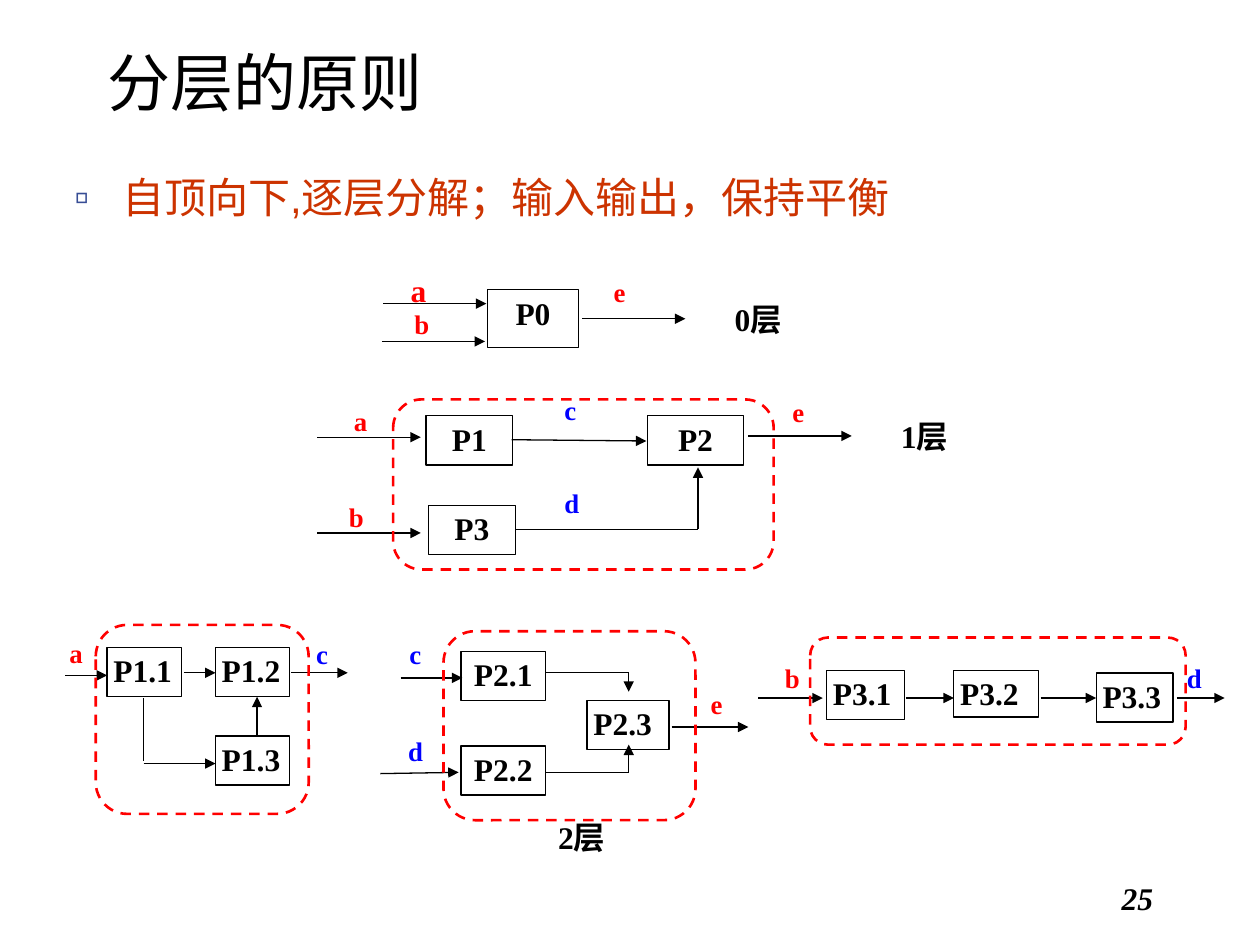
"""Build the slide on layering principles for data flow diagrams."""
from typing import NamedTuple

from lxml import etree
from pptx import Presentation
from pptx import util as u
from pptx.dml.color import RGBColor
from pptx.enum import dml, shapes, text
from pptx.oxml import ns

BLACK, WHITE, RED, BLUE = "000000", "FFFFFF", "FF0000", "0000FF"
SERIF = "Times New Roman"
LEFT, CENTER, RIGHT = text.PP_ALIGN.LEFT, text.PP_ALIGN.CENTER, text.PP_ALIGN.RIGHT


class Process(NamedTuple):
    name: str
    x: float
    y: float
    w: float
    h: float = 0.39
    align: text.PP_ALIGN = LEFT
    fill: str | None = WHITE


class Flow(NamedTuple):
    x1: float
    y1: float
    x2: float
    y2: float
    arrow: bool = True


class Label(NamedTuple):
    name: str
    x: float
    y: float
    color: str = RED
    w: float = 0.33
    h: float = 0.33
    size: float = 15.3
    spacing: float = 0.9


class Frame(NamedTuple):
    x: float
    y: float
    w: float
    h: float


FRAMES = [
    Frame(3.12, 3.17, 3.02, 1.35),
    Frame(0.76, 4.96, 1.69, 1.5),
    Frame(3.52, 5.01, 2, 1.5),
    Frame(6.43, 5.06, 2.98, 0.85),
]
PROCESSES = [
    Process("P0", 3.87, 2.3, 0.72, 0.46, CENTER, None),
    Process("P1", 3.38, 3.3, 0.69, align=CENTER),
    Process("P2", 5.14, 3.3, 0.76, align=CENTER),
    Process("P3", 3.4, 4.01, 0.69, align=CENTER),
    Process("P1.1", 0.85, 5.14, 0.59),
    Process("P1.2", 1.71, 5.14, 0.59),
    Process("P1.3", 1.71, 5.84, 0.59),
    Process("P2.1", 3.66, 5.17, 0.67, align=CENTER),
    Process("P2.2", 3.66, 5.92, 0.67, align=CENTER),
    Process("P2.3", 4.66, 5.56, 0.65),
    Process("P3.1", 6.56, 5.32, 0.62),
    Process("P3.2", 7.57, 5.32, 0.67, 0.37),
    Process("P3.3", 8.7, 5.34, 0.61),
]
FLOWS = [
    Flow(3.04, 2.41, 3.86, 2.41),
    Flow(3.03, 2.71, 3.85, 2.71),
    Flow(4.62, 2.53, 5.44, 2.53),
    Flow(2.52, 3.47, 3.34, 3.47),
    Flow(2.52, 4.23, 3.34, 4.23),
    Flow(4.06, 3.49, 5.13, 3.5),
    Flow(4.09, 4.2, 5.54, 4.2, False),
    Flow(5.54, 4.2, 5.54, 3.71),
    Flow(5.94, 3.46, 6.76, 3.46),
    Flow(0.52, 5.36, 0.85, 5.36),
    Flow(1.46, 5.34, 1.71, 5.34),
    Flow(2.31, 5.34, 2.76, 5.34),
    Flow(1.14, 5.54, 1.14, 6.04, False),
    Flow(1.14, 6.06, 1.71, 6.06),
    Flow(2.04, 5.84, 2.04, 5.53),
    Flow(3.18, 5.38, 3.67, 5.38),
    Flow(3.02, 6.14, 3.64, 6.13),
    Flow(4.33, 5.34, 4.99, 5.34, False),
    Flow(4.99, 5.34, 4.99, 5.49),
    Flow(4.33, 6.13, 4.99, 6.13, False),
    Flow(4.99, 6.13, 4.99, 5.91),
    Flow(5.33, 5.77, 5.94, 5.77),
    Flow(6.02, 5.54, 6.53, 5.54),
    Flow(7.19, 5.54, 7.57, 5.54),
    Flow(8.26, 5.54, 8.7, 5.54),
    Flow(9.34, 5.54, 9.72, 5.54),
]
LABELS = [
    Label("a", 3.2, 2.12, h=0.4, size=18, spacing=1),
    Label("b", 3.23, 2.44),
    Label("e", 4.81, 2.19),
    Label("a", 2.75, 3.21),
    Label("b", 2.71, 3.97),
    Label("c", 4.42, 3.12, BLUE),
    Label("d", 4.42, 3.86, BLUE),
    Label("e", 6.23, 3.14),
    Label("a", 0.49, 5.05),
    Label("c", 2.45, 5.06, BLUE),
    Label("c", 3.19, 5.06, BLUE),
    Label("d", 3.18, 5.83, BLUE),
    Label("e", 5.58, 5.46),
    Label("b", 6.17, 5.25),
    Label("d", 9.36, 5.25, BLUE),
    Label("0层", 5.77, 2.35, BLACK, 1.5, 0.42, 18, 1),
    Label("1层", 7.09, 3.28, BLACK, 1.22, 0.44, 18, 1),
    Label("2层", 4.37, 6.46, BLACK, 1.35, 0.4, 18, 1),
]


def rgb(value: str) -> RGBColor:
    return RGBColor.from_string(value)


def inches(*values: float) -> list[u.Length]:
    return [u.Inches(v) for v in values]


def write(sp, words: str, size: float, color: str, font=SERIF, align=LEFT, bold=True):
    tf = sp.text_frame
    tf.word_wrap = True
    p = tf.paragraphs[0]
    p.alignment = align
    r = p.add_run()
    r.text = words
    r.font.name, r.font.size, r.font.bold = font, u.Pt(size), bold
    r.font.color.rgb = rgb(color)
    return p, r


def set_margins(sp, side: float = 0.06) -> None:
    tf = sp.text_frame
    tf.margin_left = tf.margin_right = u.Inches(side)
    tf.margin_top = tf.margin_bottom = u.Inches(0.03)
    tf.vertical_anchor = text.MSO_ANCHOR.TOP


def add_outline(s, kind, place, color: str, width: float, fill: str | None = None):
    sp = s.shapes.add_shape(kind, *inches(*place))
    sp.shadow.inherit = False
    if fill:
        sp.fill.solid()
        sp.fill.fore_color.rgb = rgb(fill)
    else:
        sp.fill.background()
    sp.line.color.rgb, sp.line.width = rgb(color), u.Pt(width)
    return sp


def draw_process(s, b: Process) -> None:
    sp = add_outline(s, shapes.MSO_SHAPE.RECTANGLE, (b.x, b.y, b.w, b.h), BLACK, 0.75, b.fill)
    set_margins(sp, 0.05)
    write(sp, b.name, 18, BLACK, align=b.align)


def draw_frame(s, f: Frame) -> None:
    sp = add_outline(s, shapes.MSO_SHAPE.ROUNDED_RECTANGLE, f, RED, 1.5)
    sp.line.dash_style = dml.MSO_LINE.DASH


def draw_flow(s, f: Flow) -> None:
    line = s.shapes.add_connector(shapes.MSO_CONNECTOR.STRAIGHT, *inches(*f[:4]))
    line.line.color.rgb, line.line.width = rgb(BLACK), u.Pt(0.75)
    if f.arrow:
        etree.SubElement(line.line._get_or_add_ln(), ns.qn("a:tailEnd"), type="triangle")
    etree.SubElement(line._element.spPr, ns.qn("a:effectLst"))


def draw_label(s, n: Label) -> None:
    sp = s.shapes.add_textbox(*inches(n.x, n.y, n.w, n.h))
    set_margins(sp)
    p, _ = write(sp, n.name, n.size, n.color)
    p.line_spacing = n.spacing


def fill_placeholder(sp, place, words: str, size: float, color: str):
    sp.left, sp.top, sp.width, sp.height = inches(*place)
    return write(sp, words, size, color, "Arial", bold=False)[0]


def add_bullet(p, char: str, color: str, indent: float) -> None:
    pPr = p._p.get_or_add_pPr()
    pPr.set("marL", str(u.Inches(indent)))
    pPr.set("indent", str(-u.Inches(indent)))
    clr = etree.SubElement(pPr, ns.qn("a:buClr"))
    etree.SubElement(clr, ns.qn("a:srgbClr"), val=color)
    etree.SubElement(pPr, ns.qn("a:buChar"), char=char)


def main() -> None:
    prs = Presentation()
    prs.slide_width, prs.slide_height = inches(10, 7.5)
    s = prs.slides.add_slide(prs.slide_layouts[1])
    title, body = s.placeholders
    fill_placeholder(title, (0.75, 0.3, 8.75, 0.69), "分层的原则", 36, BLACK)
    p = fill_placeholder(body, (0.49, 1.31, 8.91, 0.65),
                         "自顶向下,逐层分解；输入输出，保持平衡", 24, "CC3300")
    p.space_before = u.Pt(6)
    add_bullet(p, "▫", "374D95", 0.38)
    for draw, items in ((draw_process, PROCESSES), (draw_flow, FLOWS),
                        (draw_label, LABELS), (draw_frame, FRAMES)):
        for item in items:
            draw(s, item)
    number = s.shapes.add_textbox(*inches(6.92, 6.93, 2.33, 0.52))
    _, r = write(number, "25", 18, BLACK, align=RIGHT)
    r.font.italic = True
    prs.save("out.pptx")


if __name__ == "__main__":
    main()
